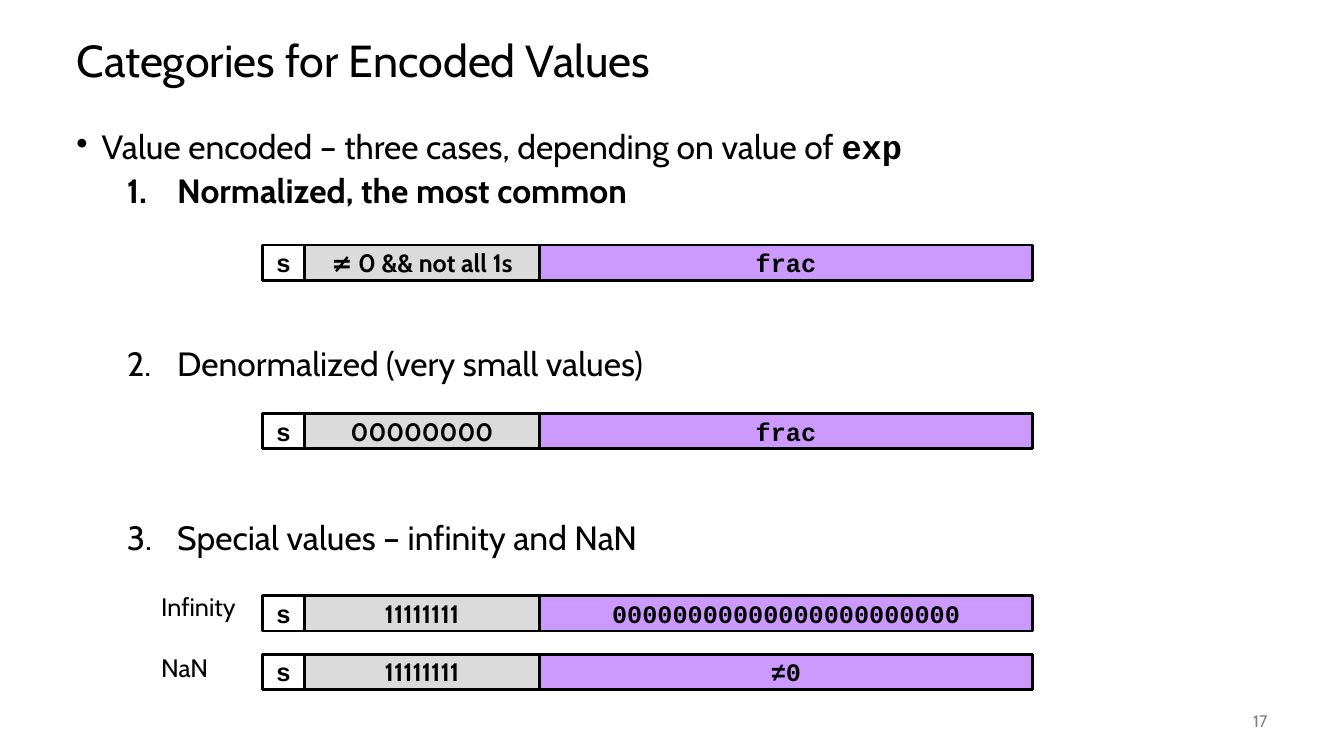
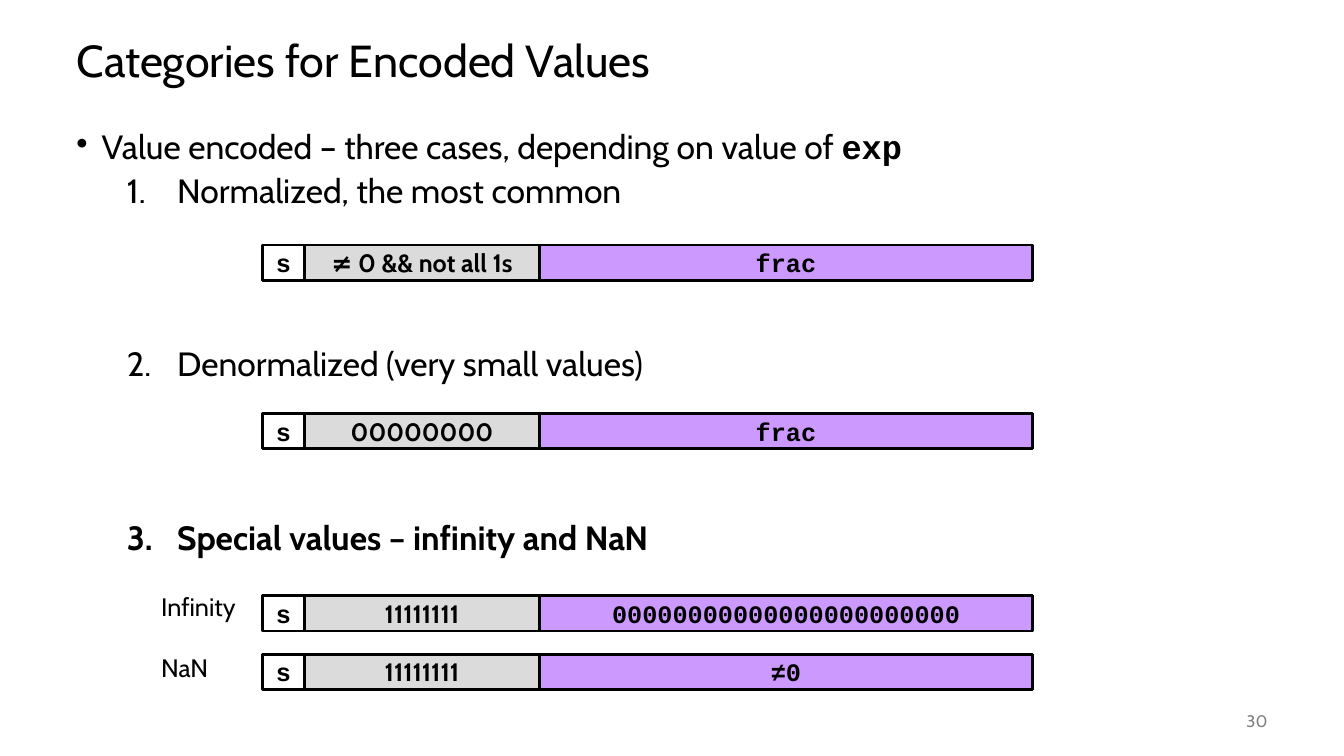
from dataclasses import dataclass

from lxml.etree import SubElement
from pptx import Presentation
from pptx.dml.color import RGBColor
from pptx.enum.shapes import MSO_SHAPE
from pptx.enum.text import MSO_ANCHOR, PP_ALIGN
from pptx.oxml.ns import qn
from pptx.util import Pt

PX = 9144


@dataclass(frozen=True)
class Theme:
    ink: str = "000000"
    sign: str = "FFFFFF"
    exp: str = "DBDBDB"
    frac: str = "CC99FF"
    mute: str = "808080"
    sans: str = "Cabin"
    mono: str = "Courier New"
    title: int = 32
    body: int = 24
    label: int = 18
    foot: int = 12
    edge: int = 2


THEME = Theme()
ITEMS = [
    ("Normalized, the most common", 5),
    ("Denormalized (very small values)", 98),
    ("Special values – infinity and NaN", 98),
]
ROWS = [
    (243, "≠ 0 && not all 1s", "frac"),
    (410, "00000000", "frac"),
    (591, "11111111", "0" * 23),
    (649, "11111111", "≠0"),
]
LABELS = [(582, "Infinity"), (642, "NaN")]


def scale(box):
    return [PX * side for side in box]


def write(para, text, size=THEME.label, font=THEME.sans, color=THEME.ink,
          bold=False, align=PP_ALIGN.LEFT):
    para.alignment = align
    run = para.add_run()
    run.text = text
    run.font.size = Pt(size)
    run.font.name = font
    run.font.bold = bold
    run.font.color.rgb = RGBColor.from_string(color)


def frame(slide, box, anchor=MSO_ANCHOR.TOP):
    area = slide.shapes.add_textbox(*scale(box)).text_frame
    area.word_wrap = True
    area.vertical_anchor = anchor
    return area


def mark(para, left, hang, kind, **attrs):
    props = para._p.get_or_add_pPr()
    props.set("marL", str(left * PX))
    props.set("indent", str(-hang * PX))
    SubElement(props, qn(f"a:{kind}"), attrs)


def title(slide, box, text):
    para = frame(slide, box, MSO_ANCHOR.MIDDLE).paragraphs[0]
    para.line_spacing = 0.9
    write(para, text, size=THEME.title)


def body(slide, box, focus):
    area = frame(slide, box)
    para = area.paragraphs[0]
    para.line_spacing = 0.9
    mark(para, 25, 25, "buChar", char="•")
    write(para, "Value encoded – three cases, depending on value of ", size=THEME.body)
    write(para, "exp", size=THEME.body, font=THEME.mono, bold=True)
    for index, (text, gap) in enumerate(ITEMS):
        para = area.add_paragraph()
        para.level = 1
        para.line_spacing = 0.9
        para.space_before = Pt(gap)
        mark(para, 100, 50, "buAutoNum", type="arabicPeriod")
        write(para, text, size=THEME.body, bold=index == focus)


def fields(slide, box, exp, frac):
    left, top, width, height = box
    group = slide.shapes.add_group_shape()
    cells = [
        (42, "s", THEME.sign, THEME.mono),
        (233, exp, THEME.exp, THEME.sans),
        (width - 42 - 233, frac, THEME.frac, THEME.mono),
    ]
    for wide, text, fill, font in cells:
        cell = group.shapes.add_shape(
            MSO_SHAPE.RECTANGLE, *scale((left, top, wide, height)))
        cell.shadow.inherit = False
        cell.fill.solid()
        cell.fill.fore_color.rgb = RGBColor.from_string(fill)
        cell.line.color.rgb = RGBColor.from_string(THEME.ink)
        cell.line.width = Pt(THEME.edge)
        area = cell.text_frame
        area.word_wrap = False
        area.vertical_anchor = MSO_ANCHOR.MIDDLE
        write(area.paragraphs[0], text, font=font, bold=True, align=PP_ALIGN.CENTER)
        left += wide


def footer(slide, box, number):
    para = frame(slide, box, MSO_ANCHOR.MIDDLE).paragraphs[0]
    write(para, str(number), size=THEME.foot, color=THEME.mute, align=PP_ALIGN.RIGHT)


def page(deck, number, focus):
    slide = deck.slides.add_slide(deck.slide_layouts[6])
    title(slide, (66, 25, 1200, 75), "Categories for Encoded Values")
    body(slide, (66, 125, 1200, 550), focus)
    for top, exp, frac in ROWS:
        fields(slide, (260, top, 764, 35), exp, frac)
    for top, text in LABELS:
        write(frame(slide, (150, top, 100, 40)).paragraphs[0], text)
    footer(slide, (1167, 695, 100, 40), number)


def main():
    deck = Presentation()
    deck.slide_width, deck.slide_height = scale((1333, 750))
    for number, focus in [(17, 0), (30, 2)]:
        page(deck, number, focus)
    deck.save("out.pptx")


if __name__ == "__main__":
    main()
